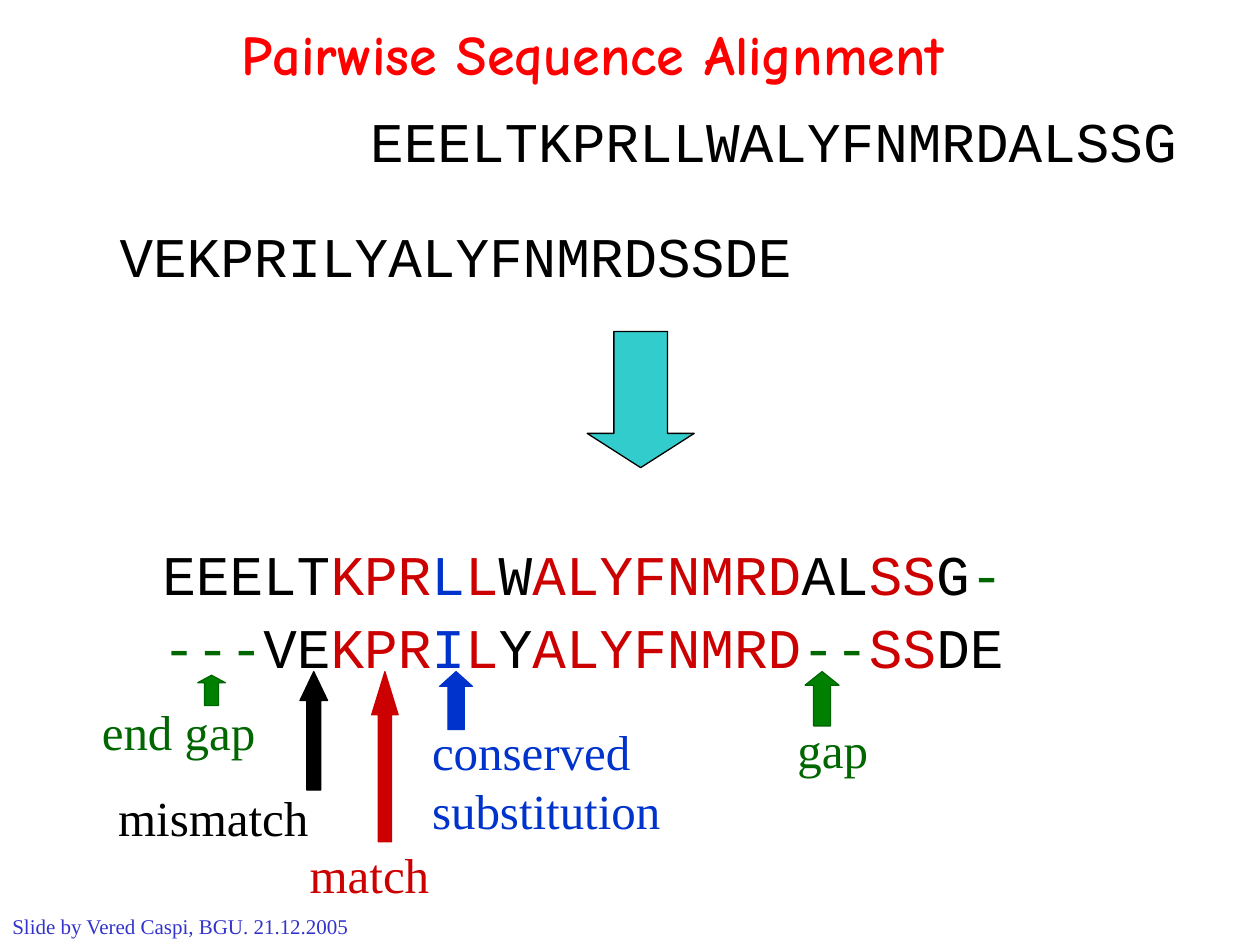
"""Build the pairwise sequence alignment slide."""
from pptx import Presentation
from pptx.dml.color import RGBColor
from pptx.enum.shapes import MSO_SHAPE
from pptx.enum.text import MSO_ANCHOR, MSO_AUTO_SIZE, PP_ALIGN
from pptx.util import Pt

BLACK, RED, BLUE, GREEN = "000000", "CC0000", "0033CC", "006600"
BRIGHT_GREEN = "008000"
MONO, SERIF = "Courier New", "Times New Roman"


def color(value):
    return RGBColor.from_string(value)


def add_text(left, top, width, height, lines, font, size):
    box = page.shapes.add_textbox(Pt(left), Pt(top), Pt(width), Pt(height))
    frame = box.text_frame
    frame.word_wrap = False
    frame.auto_size = MSO_AUTO_SIZE.SHAPE_TO_FIT_TEXT
    for index, line in enumerate(lines):
        para = frame.add_paragraph() if index else frame.paragraphs[0]
        for text, tint in line:
            span = para.add_run()
            span.text = text
            span.font.name = font
            span.font.size = Pt(size)
            span.font.color.rgb = color(tint)
    return frame


deck = Presentation()
deck.slide_width, deck.slide_height = Pt(720), Pt(540)
page = deck.slides.add_slide(deck.slide_layouts[6])

title = add_text(33, 0, 612, 61, [[("Pairwise Sequence Alignment", "FF0000")]], "Comic Neue", 32)
title.word_wrap = True
title.auto_size = MSO_AUTO_SIZE.NONE
title.vertical_anchor = MSO_ANCHOR.MIDDLE
title.paragraphs[0].alignment = PP_ALIGN.CENTER
title.paragraphs[0].runs[0].font.bold = True

aligned_top = [
    ("EEELT", BLACK), ("KPR", RED), ("L", BLUE), ("L", RED), ("W", BLACK),
    ("ALYFNMRD", RED), ("AL", BLACK), ("SS", RED), ("G", BLACK), ("-", GREEN),
]
aligned_bottom = [
    ("---", GREEN), ("VE", BLACK), ("KPR", RED), ("I", BLUE), ("L", RED),
    ("Y", BLACK), ("ALYFNMRD", RED), ("--", GREEN), ("SS", RED), ("DE", BLACK),
]
sequences = [
    (204.5, 57.6, 485.3, [("EEELTKPRLLWALYFNMRDALSSG", BLACK)]),
    (61.2, 123.1, 419, [("VEKPRILYALYFNMRDSSDE", BLACK)]),
    (85.7, 304.6, 496, aligned_top),
    (85.7, 346.3, 514.8, aligned_bottom),
]
for left, top, width, runs in sequences:
    add_text(left, top, width, 45.4, [runs], MONO, 32)

labels = [
    (51.1, 397.4, 115.9, 41, ["end gap"], GREEN),
    (60.5, 446.4, 134.6, 41, ["mismatch"], BLACK),
    (169.9, 478.8, 90.7, 41, ["match"], RED),
    (239.8, 409, 156.2, 74.2, ["conserved", "substitution"], BLUE),
    (448.6, 407.5, 61.2, 41, ["gap"], GREEN),
]
for left, top, width, height, lines, tint in labels:
    add_text(left, top, width, height, [[(line, tint)] for line in lines], SERIF, 28)

add_text(0, 518.4, 225.4, 21.6, [[("Slide by Vered Caspi, BGU. 21.12.2005", "3333CC")]], SERIF, 12)

arrows = [
    (MSO_SHAPE.DOWN_ARROW, 335.5, 189.4, 61.2, 77.8, 0.32, "33CCCC", BLACK),
    (MSO_SHAPE.UP_ARROW, 171.4, 383.8, 15.8, 67.7, 1.05, BLACK, BLACK),
    (MSO_SHAPE.UP_ARROW, 212.4, 383.8, 15.1, 97.2, 1.63, RED, RED),
    (MSO_SHAPE.UP_ARROW, 251.3, 383.8, 18.7, 33.1, 0.45, BLUE, BLUE),
    (MSO_SHAPE.UP_ARROW, 460.1, 383.8, 19.4, 31, 0.4, BRIGHT_GREEN, GREEN),
    (MSO_SHAPE.UP_ARROW, 113, 385.9, 15.8, 17.3, 0.27, BRIGHT_GREEN, GREEN),
]
for kind, left, top, width, height, head, fill, outline in arrows:
    arrow = page.shapes.add_shape(kind, Pt(left), Pt(top), Pt(width), Pt(height))
    arrow.adjustments[0] = 0.5
    arrow.adjustments[1] = head
    arrow.shadow.inherit = False
    arrow.fill.solid()
    arrow.fill.fore_color.rgb = color(fill)
    arrow.line.color.rgb = color(outline)
    arrow.line.width = Pt(0.75)

deck.save("out.pptx")
